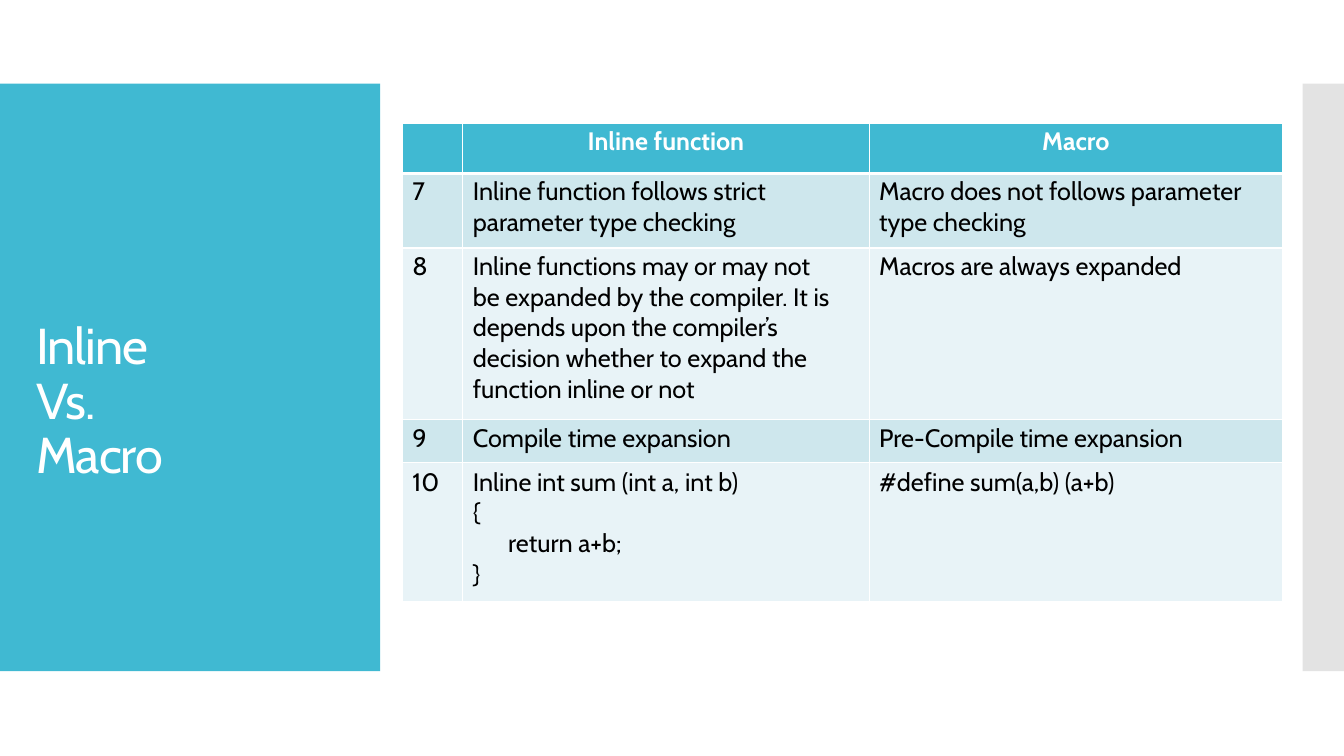
from pptx import Presentation
from pptx import util as u
from pptx.dml import color
from pptx.enum import shapes, text
from pptx.oxml import parse_xml
from pptx.oxml.ns import nsdecls

TEAL, GREY, WHITE, BLACK = "40B9D2", "E3E3E3", "FFFFFF", "000000"
BANDS = ["CEE7ED", "E8F3F7"]
COLS = [0.6, 4.03, 4.1]
ROWS = [0.5, 0.74, 1.7, 0.43, 1.38]
CODE_INDENT = 0.45

# Each cell is a list of paragraphs; a tab marks an indented code line
CELLS = [
    [[], ["Inline function"], ["Macro"]],
    [["7"],
     ["Inline function follows strict", "parameter type checking"],
     ["Macro does not follows parameter", "type checking"]],
    [["8"],
     ["Inline functions may or may not be expanded by the compiler. "
      "It is depends upon the compiler’s decision whether to expand "
      "the function inline or not"],
     ["Macros are always expanded"]],
    [["9"], ["Compile time expansion"], ["Pre-Compile time expansion"]],
    [["10"],
     ["Inline int sum (int a, int b)", "{", "\treturn a+b;", "}"],
     ["#define sum(a,b) (a+b)"]],
]


def rgb(value):
    return color.RGBColor.from_string(value)


def set_font(p, size, fill, bold=False):
    p.font.name, p.font.size, p.font.bold = "Cabin", u.Pt(size), bold
    p.font.color.rgb = rgb(fill)


def add_panel(s, x, y, w, h, fill):
    sp = s.shapes.add_shape(shapes.MSO_SHAPE.RECTANGLE,
                            u.Inches(x), u.Inches(y), u.Inches(w), u.Inches(h))
    sp.shadow.inherit = False
    sp.fill.solid()
    sp.fill.fore_color.rgb = rgb(fill)
    sp.line.fill.background()


def add_title_panel(s, x, y, w, h):
    add_panel(s, x, y, w, h, TEAL)
    box = s.shapes.add_textbox(u.Inches(x + 0.36), u.Inches(y + 2.27),
                               u.Inches(1.77), u.Inches(1.7))
    tf = box.text_frame
    tf.word_wrap = True
    tf.margin_left = tf.margin_right = tf.margin_bottom = 0
    tf.margin_top = u.Inches(0.08)
    p = tf.paragraphs[0]
    p.text = "Inline\vVs.\vMacro"
    p.line_spacing, p.space_before = u.Pt(38.9), u.Pt(5.9)
    set_font(p, 36, WHITE)
    for r in p.runs:
        r._r.get_or_add_rPr().set("spc", "-70")


def set_borders(cell, widths):
    """Draw white borders; widths maps a side to points."""
    tcPr = cell._tc.get_or_add_tcPr()
    for i, (side, width) in enumerate(widths.items()):
        tcPr.insert(i, parse_xml(
            f'<a:{side} {nsdecls("a")} w="{u.Pt(width)}"><a:solidFill>'
            f'<a:srgbClr val="{WHITE}"/></a:solidFill></a:{side}>'))


def fill_cell(cell, lines, row, col):
    header = row == 0
    cell.fill.solid()
    cell.fill.fore_color.rgb = rgb(TEAL if header else BANDS[(row - 1) % 2])
    cell.margin_left = cell.margin_bottom = 0
    cell.margin_right = u.Inches(0.32 if col == 1 and row == 2 else 0)
    cell.margin_top = u.Inches(0.03 if row < 3 else 0.04)
    set_borders(cell, {"lnL": 1, "lnR": 1, "lnT": 3 if row == 1 else 1,
                       "lnB": 3 if header else 1})
    tf = cell.text_frame
    for i, line in enumerate(lines):
        p = tf.paragraphs[0] if i == 0 else tf.add_paragraph()
        p.text = line.strip()
        set_font(p, 18, WHITE if header else BLACK, header)
        p.space_before = u.Pt(0 if i else 2.5)
        if header:
            p.alignment = text.PP_ALIGN.CENTER
        else:
            indent = CODE_INDENT if line.startswith("\t") else 0.1
            p._p.get_or_add_pPr().set("marL", str(u.Inches(indent)))


def add_comparison(s, x, y):
    frame = s.shapes.add_table(len(ROWS), len(COLS), u.Inches(x), u.Inches(y),
                               u.Inches(sum(COLS)), u.Inches(sum(ROWS)))
    table = frame.table
    for col, width in zip(table.columns, COLS):
        col.width = u.Inches(width)
    for row, height in zip(table.rows, ROWS):
        row.height = u.Inches(height)
    for i, row in enumerate(CELLS):
        for j, lines in enumerate(row):
            fill_cell(table.cell(i, j), lines, i, j)


prs = Presentation()
prs.slide_width, prs.slide_height = u.Inches(13.33), u.Inches(7.5)
s = prs.slides.add_slide(prs.slide_layouts[6])

# Side panels, then the comparison table
add_title_panel(s, 0, 0.83, 3.77, 5.83)
add_panel(s, 12.92, 0.83, 0.41, 5.83, GREY)
add_comparison(s, 3.99, 1.22)

prs.save("out.pptx")
